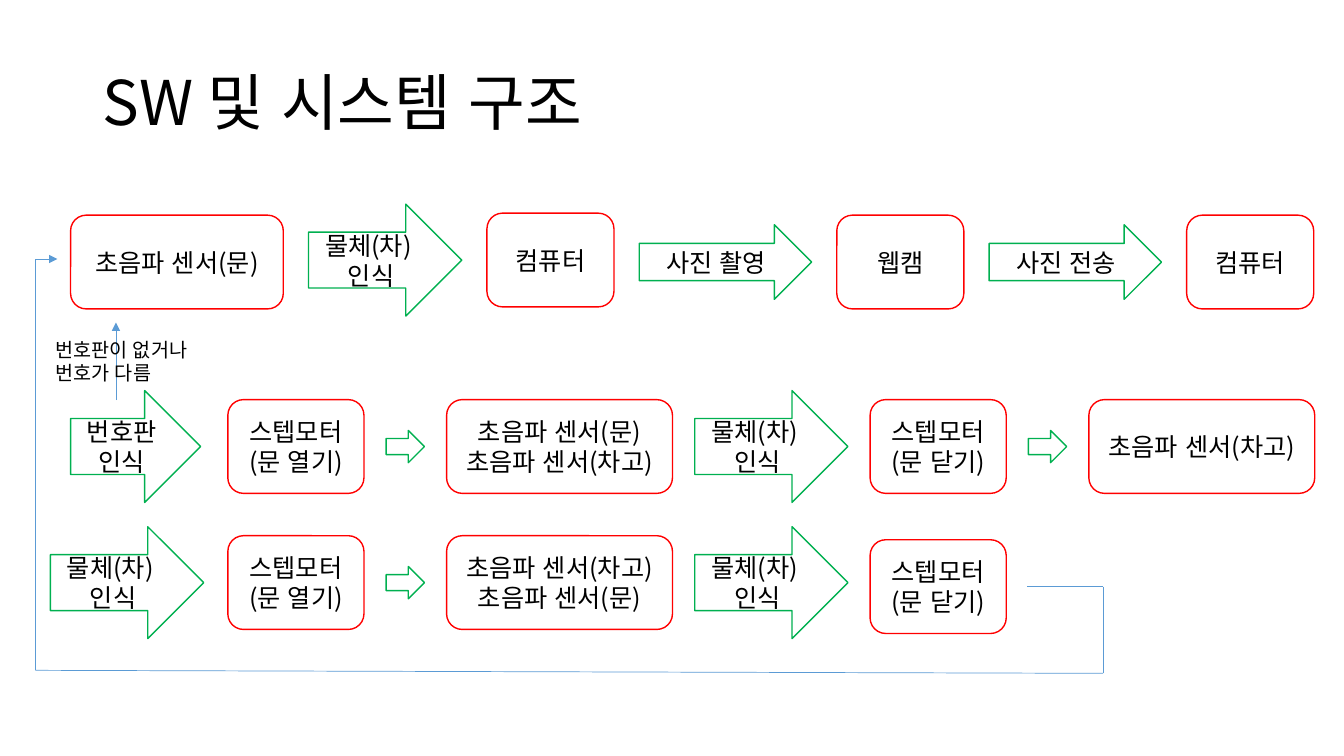
from itertools import pairwise

from pptx import Presentation
from pptx.dml.color import RGBColor
from pptx.enum.shapes import MSO_CONNECTOR as Connector, MSO_SHAPE as Shape
from pptx.enum.text import MSO_ANCHOR as Anchor, PP_ALIGN as Align
from pptx.oxml.ns import qn
from pptx.util import Inches, Pt
from lxml.etree import SubElement

FONT = "Noto Sans CJK KR"
BLACK, RED, GREEN, BLUE = "000000", "FF0000", "00B050", "5B9BD5"
BOX_HEIGHT, ARROW_HEIGHT, SLIM_HEIGHT, SMALL_HEIGHT = 0.93, 1.11, 0.74, 0.32

DOOR_SENSOR = "초음파 센서(문)"
GARAGE_SENSOR = "초음파 센서(차고)"
OPEN_DOOR = "스텝모터\n(문 열기)"
CLOSE_DOOR = "스텝모터\n(문 닫기)"
DETECT_CAR = "물체(차) \n인식"


def color(value):
    return RGBColor.from_string(value)


def write(shape, text, size=18, align=Align.CENTER, anchor=Anchor.MIDDLE, spacing=None):
    frame = shape.text_frame
    frame.word_wrap = True
    frame.vertical_anchor = anchor
    for index, line in enumerate(text.split("\n")):
        paragraph = frame.add_paragraph() if index else frame.paragraphs[0]
        paragraph.alignment = align
        if spacing:
            paragraph.line_spacing = spacing
        run = paragraph.add_run()
        run.text = line
        run.font.size = Pt(size)
        run.font.name = FONT
        run.font.color.rgb = color(BLACK)
        properties = run.font._element
        properties.set("lang", "ko-KR")
        SubElement(properties, qn("a:ea")).set("typeface", FONT)


def add_text(slide, box, text, **text_format):
    write(slide.shapes.add_textbox(*map(Inches, box)), text, **text_format)


def add_step(slide, kind, line_color, box, text):
    shape = slide.shapes.add_shape(kind, *map(Inches, box))
    shape.shadow.inherit = False
    shape.fill.background()
    shape.line.color.rgb = color(line_color)
    shape.line.width = Pt(1)
    if text:
        write(shape, text)


def box(width, text, shift=0):
    return Shape.ROUNDED_RECTANGLE, RED, width, BOX_HEIGHT, text, shift


def arrow(width, text="", height=ARROW_HEIGHT, shift=0):
    return Shape.RIGHT_ARROW, GREEN, width, height, text, shift


def add_flow(slide, left, middle, gap, steps):
    """Places steps left to right with equal gaps, centred on one height."""
    for kind, line_color, width, height, text, shift in steps:
        top = middle + shift - height / 2
        add_step(slide, kind, line_color, (left, top, width, height), text)
        left += width + gap


def add_path(slide, points):
    """Joins the points with lines; the last one carries an arrowhead."""
    for start, end in pairwise(points):
        line = slide.shapes.add_connector(Connector.STRAIGHT, *map(Inches, start + end))
        line.line.color.rgb = color(BLUE)
        line.line.width = Pt(0.5)
        if end == points[-1]:
            SubElement(line.line._get_or_add_ln(), qn("a:tailEnd")).set("type", "triangle")
        SubElement(line._element.spPr, qn("a:effectLst"))


def add_photo_row(slide, middle):
    add_flow(slide, 0.7, middle, 0.25, [
        box(2.11, DOOR_SENSOR),
        arrow(1.52, DETECT_CAR, shift=-0.02),
        box(1.26, "컴퓨터", shift=-0.02),
        arrow(1.71, "사진 촬영", SLIM_HEIGHT),
        box(1.26, "웹캠"),
        arrow(1.71, "사진 전송", SLIM_HEIGHT),
        box(1.26, "컴퓨터"),
    ])


def add_door_row(slide, middle, trigger_left, trigger, sensors, last_steps):
    add_flow(slide, trigger_left, middle, 0, [trigger])
    add_flow(slide, 2.26, middle, 0.22, [
        box(1.35, OPEN_DOOR),
        arrow(0.38, height=SMALL_HEIGHT),
        box(2.24, sensors),
        arrow(1.52, DETECT_CAR),
        *last_steps,
    ])


def add_returns(slide):
    # Back to the first sensor when the plate is missing or differs
    add_path(slide, [(1.15, 3.97), (1.15, 3.2)])
    add_text(slide, (0.45, 3.3, 1.63, 0.57), "번호판이 없거나 번호가 다름",
             size=14, align=Align.LEFT, anchor=Anchor.TOP)
    # Loop from the last step to the start
    add_path(slide, [(10.19, 5.82), (10.94, 5.82), (10.94, 6.68),
                     (0.35, 6.65), (0.35, 2.57), (0.57, 2.57)])


def main():
    presentation = Presentation()
    presentation.slide_width, presentation.slide_height = Inches(13.33), Inches(7.5)
    slide = presentation.slides.add_slide(presentation.slide_layouts[6])

    # Title
    add_text(slide, (0.92, 0.32, 11.5, 1.45), "SW 및 시스템 구조",
             size=44, align=Align.LEFT, spacing=0.9)

    # Flow: photo, car entering, car leaving
    add_photo_row(slide, 2.6)
    add_door_row(slide, 4.43, 0.7, arrow(1.29, "번호판 인식"), DOOR_SENSOR + GARAGE_SENSOR,
                 [box(1.35, CLOSE_DOOR), arrow(0.38, height=SMALL_HEIGHT),
                  box(2.24, GARAGE_SENSOR)])
    add_door_row(slide, 5.78, 0.5, arrow(1.52, DETECT_CAR), GARAGE_SENSOR + "\n" + DOOR_SENSOR,
                 [box(1.35, CLOSE_DOOR, shift=0.04)])

    # Return lines
    add_returns(slide)
    presentation.save("out.pptx")


if __name__ == "__main__":
    main()
